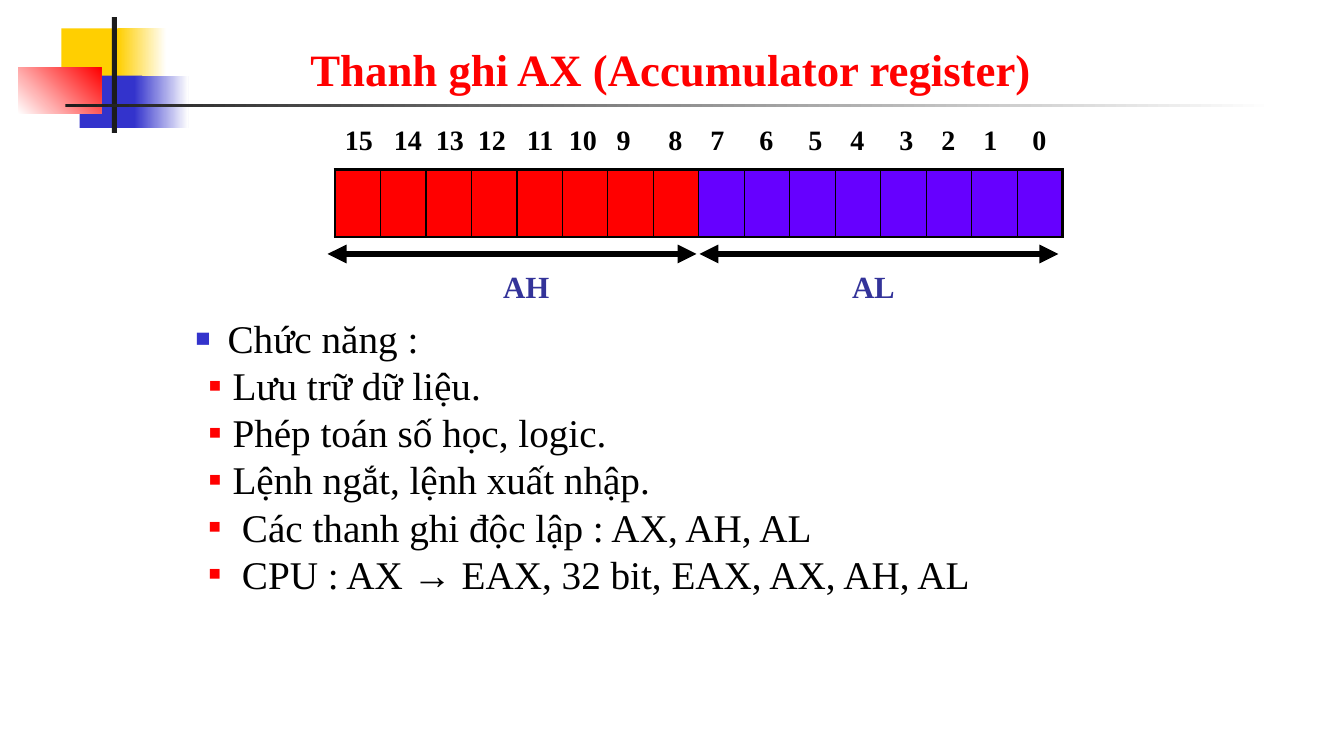
from typing import Any, NamedTuple, Optional

from lxml.etree import SubElement
from pptx import Presentation
from pptx.dml.color import RGBColor
from pptx.enum.shapes import MSO_CONNECTOR, MSO_SHAPE
from pptx.enum.text import MSO_ANCHOR, PP_ALIGN
from pptx.oxml.ns import qn
from pptx.util import Pt

BLACK = RGBColor(0x00, 0x00, 0x00)
WHITE = RGBColor(0xFF, 0xFF, 0xFF)
RED = RGBColor(0xFF, 0x00, 0x00)
GOLD = RGBColor(0xFF, 0xCF, 0x01)
BLUE = RGBColor(0x33, 0x33, 0xCC)
NAVY = RGBColor(0x33, 0x33, 0x99)
VIOLET = RGBColor(0x66, 0x00, 0xFF)
DARK = RGBColor(0x1C, 0x1C, 0x1C)
FACE = "Times New Roman"
BITS = 16


class Block(NamedTuple):
    left: float
    top: float
    width: float
    height: float
    start: RGBColor
    end: Optional[RGBColor] = None
    angle: float = 0


class Label(NamedTuple):
    left: float
    top: float
    width: float
    height: float
    text: str
    size: float
    color: RGBColor
    align: PP_ALIGN = PP_ALIGN.LEFT
    anchor: MSO_ANCHOR = MSO_ANCHOR.TOP


class Item(NamedTuple):
    text: str
    indent: float
    hang: float
    color: RGBColor = RED
    scale: int = 100


class Arrow(NamedTuple):
    start: float
    end: float


BLOCKS = [
    Block(43.9, 20.2, 46.1, 37.4, GOLD),
    Block(84.2, 20.2, 34.6, 37.4, GOLD, WHITE),
    Block(56.9, 54, 44.6, 37.4, BLUE),
    Block(95.8, 54, 38.9, 37.4, BLUE, WHITE),
    Block(13.2, 48.2, 59, 33.1, WHITE, RED, 45),
    Block(79.9, 12.2, 3.6, 82.8, DARK),
    Block(46.8, 74.2, 864, 2.2, DARK, WHITE),
]
NUMBERS = "\t".join(str(bit) for bit in reversed(range(BITS)))
STOPS = [35, 65, 95, 130, 160, 194, 231, 261, 296, 331, 361, 396, 426, 456, 491]
LABELS = [
    Label(214.6, 23, 613.4, 49, "Thanh ghi AX (Accumulator register)", 32, RED,
          anchor=MSO_ANCHOR.BOTTOM),
    Label(239.3, 83.9, 539.3, 31, NUMBERS, 20, BLACK),
    Label(298.1, 187.7, 155.5, 34, "AH", 22, NAVY, PP_ALIGN.CENTER),
    Label(545.8, 187.7, 156.2, 34, "AL", 22, NAVY, PP_ALIGN.CENTER),
]
ARROWS = [Arrow(234, 497.5), Arrow(499.7, 756)]
ITEMS = [
    Item("Chức năng :", 23.7, 23.7, BLUE, 125),
    Item("Lưu trữ dữ liệu.", 27.2, 17.5),
    Item("Phép toán số học, logic.", 27.2, 17.5),
    Item("Lệnh ngắt, lệnh xuất nhập.", 27.2, 17.5),
    Item("Các thanh ghi độc lập : AX, AH, AL", 34, 24.3),
    Item("CPU : AX → EAX, 32 bit, EAX, AX, AH, AL", 34, 24.3),
]


def style(target: Any, form: dict[str, Any]) -> None:
    for name, value in form.items():
        setattr(target, name, value)


def write(para: Any, text: str, size: float, color: RGBColor, bold: bool) -> None:
    run = para.add_run()
    run.text = text
    style(run.font, {"name": FACE, "size": Pt(size), "bold": bold})
    run.font.color.rgb = color


def add_block(shapes: Any, block: Block) -> None:
    shape = shapes.add_shape(MSO_SHAPE.RECTANGLE, *map(Pt, block[:4]))
    shape.shadow.inherit = False
    shape.line.fill.background()
    if block.end is None:
        shape.fill.solid()
        shape.fill.fore_color.rgb = block.start
        return
    shape.fill.gradient()
    shape.fill.gradient_angle = block.angle
    for stop, color in zip(shape.fill.gradient_stops, (block.start, block.end)):
        stop.color.rgb = color


def add_label(shapes: Any, label: Label) -> None:
    frame = shapes.add_textbox(*map(Pt, label[:4])).text_frame
    style(frame, {"word_wrap": True, "vertical_anchor": label.anchor})
    para = frame.paragraphs[0]
    para.alignment = label.align
    if "\t" in label.text:
        tabs = SubElement(para._p.get_or_add_pPr(), qn("a:tabLst"))
        for stop in STOPS:
            SubElement(tabs, qn("a:tab"), pos=str(Pt(stop)), algn="l")
    write(para, label.text, label.size, label.color, True)


def add_edge(cell: Any, side: str, width: float) -> None:
    edge = SubElement(cell._tc.get_or_add_tcPr(), qn(f"a:{side}"), w=str(Pt(width)))
    fill = SubElement(edge, qn("a:solidFill"))
    SubElement(fill, qn("a:srgbClr"), val=str(BLACK))


def add_bits(shapes: Any) -> None:
    """Draw the register as one row of bit cells."""
    frame = shapes.add_table(1, BITS, Pt(239.3), Pt(121), Pt(520), Pt(48.2))
    table = frame.table
    style(table, {"first_row": False, "horz_banding": False})
    for index, column in enumerate(table.columns):
        column.width = Pt(32.5)
        cell = table.cell(0, index)
        add_edge(cell, "lnL", 2.25 if index == 0 else 1)
        add_edge(cell, "lnR", 2.25 if index == BITS - 1 else 1)
        add_edge(cell, "lnT", 2.25)
        add_edge(cell, "lnB", 2.25)
        cell.fill.solid()
        cell.fill.fore_color.rgb = RED if index < BITS // 2 else VIOLET


def add_arrow(shapes: Any, arrow: Arrow) -> None:
    level = Pt(181.4)
    line = shapes.add_connector(
        MSO_CONNECTOR.STRAIGHT, Pt(arrow.start), level, Pt(arrow.end), level)
    line.line.width = Pt(4.5)
    line.line.color.rgb = BLACK
    for tip in ("a:headEnd", "a:tailEnd"):
        SubElement(line.line._get_or_add_ln(), qn(tip), type="triangle")
    SubElement(line._element.spPr, qn("a:effectLst"))


def add_list(shapes: Any) -> None:
    frame = shapes.add_textbox(Pt(131.8), Pt(221.2), Pt(708.5), Pt(211)).text_frame
    frame.word_wrap = True
    for index, item in enumerate(ITEMS):
        para = frame.add_paragraph() if index else frame.paragraphs[0]
        para.alignment = PP_ALIGN.JUSTIFY
        props = para._p.get_or_add_pPr()
        props.set("marL", str(Pt(item.indent)))
        props.set("indent", str(-Pt(item.hang)))
        tint = SubElement(props, qn("a:buClr"))
        SubElement(tint, qn("a:srgbClr"), val=str(item.color))
        SubElement(props, qn("a:buSzPct"), val=str(item.scale * 1000))
        SubElement(props, qn("a:buFont"), typeface=FACE)
        SubElement(props, qn("a:buChar"), char="▪")
        write(para, item.text, 28, BLACK, False)


def main() -> None:
    deck = Presentation()
    style(deck, {"slide_width": Pt(960), "slide_height": Pt(540)})
    shapes = deck.slides.add_slide(deck.slide_layouts[6]).shapes
    for block in BLOCKS:
        add_block(shapes, block)
    add_bits(shapes)
    for label in LABELS:
        add_label(shapes, label)
    for arrow in ARROWS:
        add_arrow(shapes, arrow)
    add_list(shapes)
    deck.save("out.pptx")


if __name__ == "__main__":
    main()
